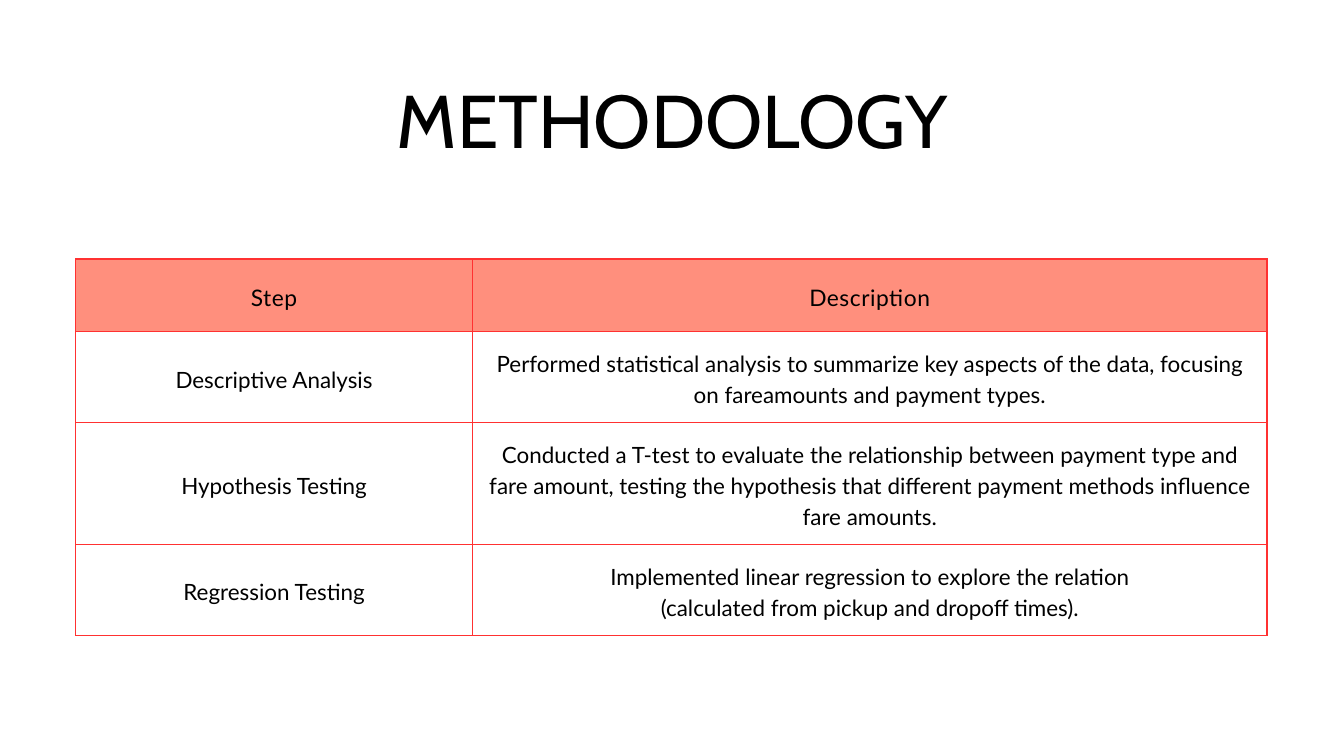
"""Build the methodology slide: a title above a table of steps."""
import lxml.etree
import pptx
import pptx.dml.color
import pptx.enum.text
import pptx.oxml.ns
import pptx.util

PX = 9525
BLACK = pptx.dml.color.RGBColor(0x00, 0x00, 0x00)
RED = pptx.dml.color.RGBColor(0xFF, 0x31, 0x31)
SALMON = pptx.dml.color.RGBColor(0xFF, 0x8F, 0x7D)

HEADER = ("Step", "Description")
STEPS = [
    ("Descriptive Analysis",
     "Performed statistical analysis to summarize key aspects of the data, "
     "focusing on fareamounts and payment types."),
    ("Hypothesis Testing",
     "Conducted a T-test to evaluate the relationship between payment type and "
     "fare amount, testing the hypothesis that different payment methods "
     "influence fare amounts."),
    ("Regression Testing",
     "Implemented linear regression to explore the relation\n"
     "(calculated from pickup and dropoff times)."),
]


class Deck:
    """Hold the style and the current slide."""

    title_font = "Cabin"
    body_font = "Lato"
    inset = 20
    border = 1.5
    thin_border = 0.73

    def __init__(self, prs):
        self.slide = prs.slides.add_slide(prs.slide_layouts[6])

    def add_text(self, tf, text, font, size, leading, spacing=0):
        """Fill a text frame with centred paragraphs."""
        for i, line in enumerate(text.split("\n")):
            p = tf.add_paragraph() if i else tf.paragraphs[0]
            p.alignment = pptx.enum.text.PP_ALIGN.CENTER
            p.line_spacing = pptx.util.Pt(leading)
            r = p.add_run()
            r.text = line
            r.font.name = font
            r.font.size = pptx.util.Pt(size)
            r.font.bold = False
            r.font.color.rgb = BLACK
            if spacing:
                r.font._element.set("spc", str(round(spacing * 100)))

    def title(self, text, x, y, w, h):
        """Add the title text box."""
        sp = self.slide.shapes.add_textbox(x * PX, y * PX, w * PX, h * PX)
        tf = sp.text_frame
        tf.word_wrap = True
        tf.auto_size = pptx.enum.text.MSO_AUTO_SIZE.SHAPE_TO_FIT_TEXT
        tf.margin_left = tf.margin_top = tf.margin_right = tf.margin_bottom = 0
        self.add_text(tf, text, self.title_font, 80, 72.8)

    def borders(self, cell, **widths):
        """Draw the four borders of a cell, ahead of its fill."""
        props = cell._tc.get_or_add_tcPr()
        for i, side in enumerate("LRTB"):
            width = pptx.util.Pt(widths.get(side, self.border))
            ln = lxml.etree.Element(pptx.oxml.ns.qn(f"a:ln{side}"), w=str(int(width)))
            fill = lxml.etree.SubElement(ln, pptx.oxml.ns.qn("a:solidFill"))
            lxml.etree.SubElement(fill, pptx.oxml.ns.qn("a:srgbClr"), val=str(RED))
            props.insert(i, ln)

    def table(self, rows, x, y, widths, heights):
        """Add a table whose first row is the header."""
        frame = self.slide.shapes.add_table(
            len(rows), len(widths), x * PX, y * PX, sum(widths) * PX, sum(heights) * PX)
        table = frame.table
        table.first_row = table.horz_banding = False
        for column, width in zip(table.columns, widths):
            column.width = width * PX
        for i, (row, height) in enumerate(zip(rows, heights)):
            table.rows[i].height = height * PX
            for j, text in enumerate(row):
                self.cell(table.cell(i, j), text, i)

    def cell(self, cell, text, row):
        """Style and fill one table cell."""
        cell.vertical_anchor = pptx.enum.text.MSO_ANCHOR.MIDDLE
        cell.margin_left = cell.margin_right = self.inset * PX
        cell.margin_top = cell.margin_bottom = self.inset * PX
        if row == 0:
            cell.fill.solid()
            cell.fill.fore_color.rgb = SALMON
            self.borders(cell, B=self.thin_border)
            self.add_text(cell.text_frame, text, self.body_font, 24.4, 34.2, 0.6)
        else:
            cell.fill.background()
            self.borders(cell, T=self.thin_border if row == 1 else self.border)
            self.add_text(cell.text_frame, text, self.body_font, 24, 33.6)


def main():
    """Build and save the slide."""
    prs = pptx.Presentation()
    prs.slide_width, prs.slide_height = 1920 * PX, 1080 * PX
    deck = Deck(prs)
    deck.table([HEADER, *STEPS], 108, 370, [567, 1135], [104, 129, 173, 129])
    deck.title("METHODOLOGY", 463, 136, 996, 103)
    prs.save("out.pptx")


if __name__ == "__main__":
    main()
